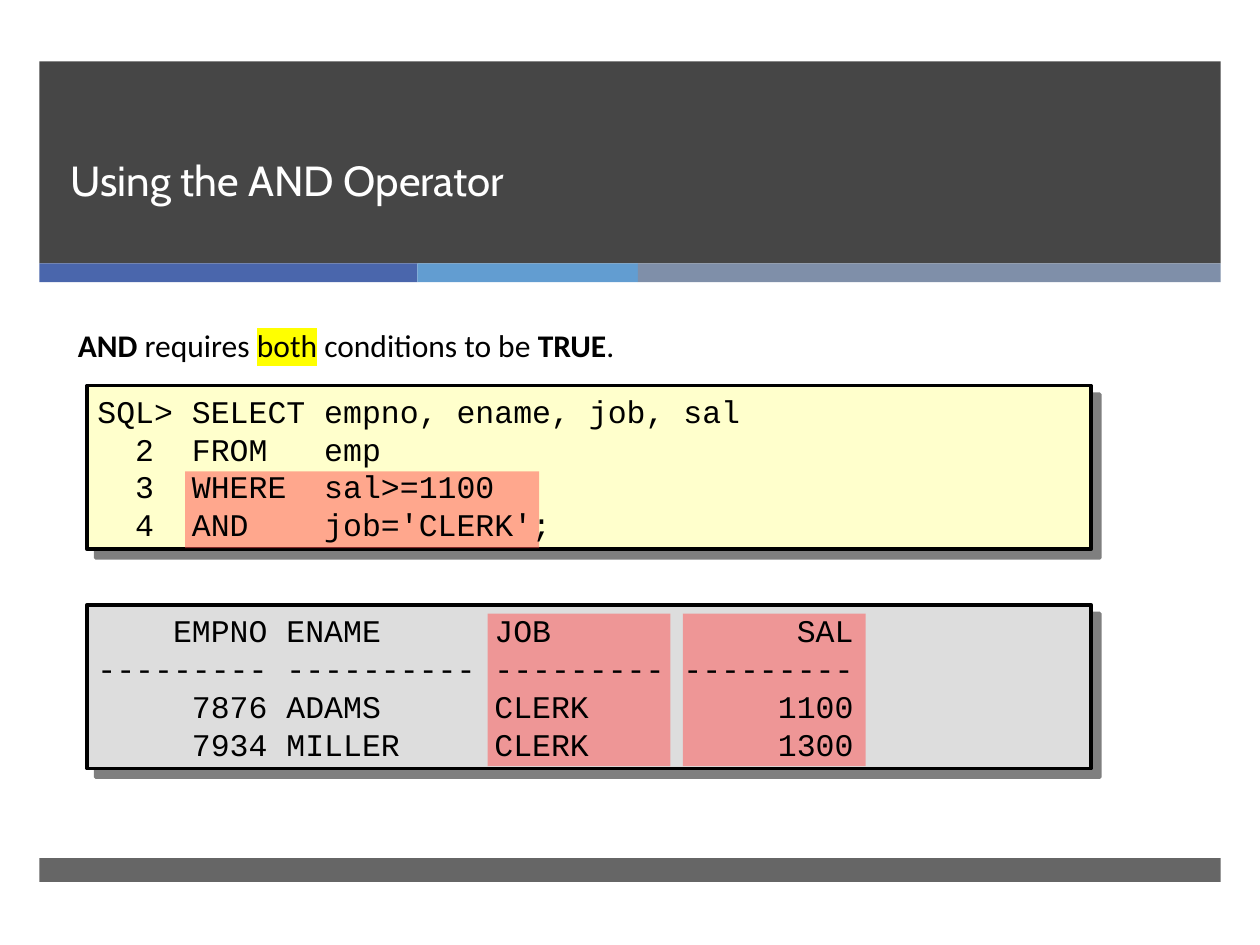
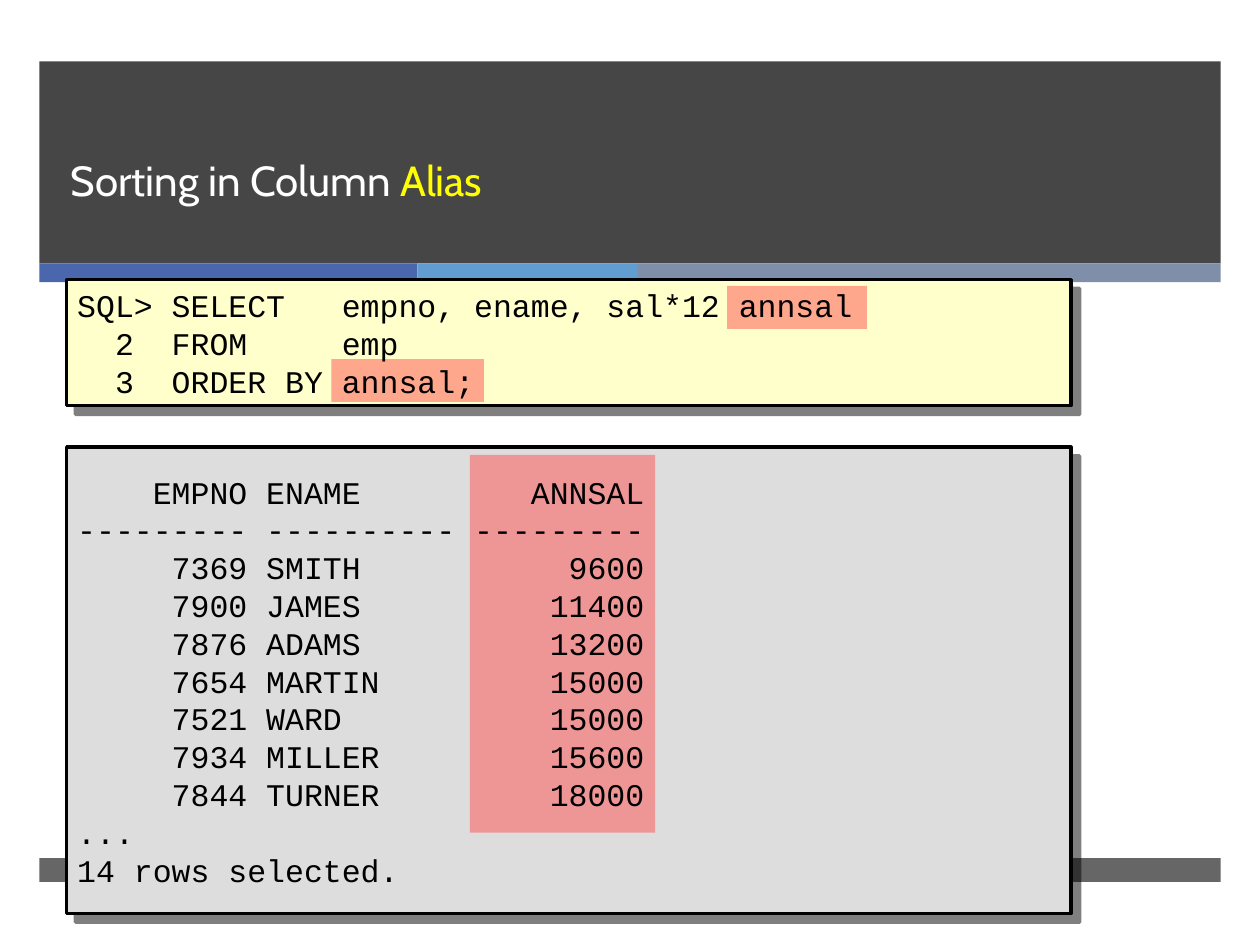
"""Build two slides on SQL conditions and sorting."""
from dataclasses import dataclass
from typing import NamedTuple, Optional

from lxml import etree
from pptx import Presentation
from pptx.dml.color import RGBColor
from pptx.enum.shapes import MSO_SHAPE
from pptx.enum.text import MSO_ANCHOR, MSO_AUTO_SIZE, PP_ALIGN
from pptx.oxml.ns import qn
from pptx.shapes.autoshape import Shape
from pptx.slide import Slide, SlideLayout
from pptx.text.text import TextFrame, _Paragraph
from pptx.util import Pt

RECTANGLE = MSO_SHAPE.RECTANGLE
MIDDLE, BOTTOM = MSO_ANCHOR.MIDDLE, MSO_ANCHOR.BOTTOM
NO_AUTOFIT = MSO_AUTO_SIZE.NONE
LEFT = PP_ALIGN.LEFT

BLACK = RGBColor(0x00, 0x00, 0x00)
WHITE = RGBColor(0xFF, 0xFF, 0xFF)
YELLOW = RGBColor(0xFF, 0xFF, 0x00)
CHARCOAL = RGBColor(0x26, 0x26, 0x26)
ROYAL_BLUE = RGBColor(0x4A, 0x66, 0xAC)
SKY_BLUE = RGBColor(0x62, 0x9D, 0xD1)
SLATE_BLUE = RGBColor(0x7F, 0x8F, 0xA9)
QUERY_CREAM = RGBColor(0xFF, 0xFF, 0xCC)
RESULT_GREY = RGBColor(0xDD, 0xDD, 0xDD)
MARK_RED = RGBColor(0xFF, 0x50, 0x50)

TITLE_FONT, BODY_FONT, CODE_FONT = "Cabin", "Calibri", "Courier New"
TITLE_ONLY = 5
LISTING_WIDTH = 573.84
LAYOUT_ID_BASE = 100


class Box(NamedTuple):
    """A rectangle in points."""
    left: float
    top: float
    width: float
    height: float

    def lengths(self) -> list[Pt]:
        """Return the four measures as lengths."""
        return [Pt(value) for value in self]


class Span(NamedTuple):
    """A stretch of text with its own emphasis."""
    text: str
    bold: Optional[bool] = None
    color: Optional[RGBColor] = None
    marker: Optional[RGBColor] = None


class Band(NamedTuple):
    """A coloured bar of the shared frame."""
    box: Box
    color: RGBColor
    opacity: int = 100


@dataclass
class Listing:
    """A framed block of code or query output."""
    box: Box
    fill: RGBColor
    text: str
    marks: list[Box]


@dataclass
class Lesson:
    """The content of one slide."""
    title: list[Span]
    listings: list[Listing]
    lead: Optional[list[Span]] = None


FRAME_LEFT, FRAME_WIDTH = 22.5, 675
STRIPE_TOP, STRIPE_HEIGHT = 150.5, 10.8
TITLE_BOX = Box(33.12, 35.28, 614.88, 85.68)
LEAD_BOX = Box(37.44, 184.32, 323.28, 28.08)

BANDS = [
    Band(Box(FRAME_LEFT, 35, FRAME_WIDTH, 115.5), CHARCOAL, 85),
    Band(Box(FRAME_LEFT, STRIPE_TOP, 216, STRIPE_HEIGHT), ROYAL_BLUE),
    Band(Box(FRAME_LEFT + 216, STRIPE_TOP, 126, STRIPE_HEIGHT), SKY_BLUE),
    Band(Box(FRAME_LEFT + 342, STRIPE_TOP, 333, STRIPE_HEIGHT), SLATE_BLUE),
    Band(Box(FRAME_LEFT, 490.32, FRAME_WIDTH, 13.68), CHARCOAL, 70),
]

AND_QUERY = """\
SQL> SELECT empno, ename, job, sal
  2  FROM   emp
  3  WHERE  sal>=1100
  4  AND    job='CLERK';"""

AND_RESULT = """\
    EMPNO ENAME      JOB             SAL
--------- ---------- --------- ---------
     7876 ADAMS      CLERK          1100
     7934 MILLER     CLERK          1300"""

ALIAS_QUERY = """\
SQL> SELECT   empno, ename, sal*12 annsal
  2  FROM     emp
  3  ORDER BY annsal;"""

ALIAS_RESULT = """\
    EMPNO ENAME         ANNSAL
--------- ---------- ---------
     7369 SMITH           9600
     7900 JAMES          11400
     7876 ADAMS          13200
     7654 MARTIN         15000
     7521 WARD           15000
     7934 MILLER         15600
     7844 TURNER         18000
...
14 rows selected."""

LESSONS = [
    Lesson(
        title=[Span("Using the AND Operator")],
        lead=[Span("AND", bold=True), Span(" requires "), Span("both", marker=YELLOW),
              Span(" conditions to be "), Span("TRUE", bold=True), Span(".")],
        listings=[
            Listing(Box(49.68, 220.32, LISTING_WIDTH, 93.6), QUERY_CREAM, AND_QUERY,
                    [Box(105.84, 269.28, 202.32, 43.92)]),
            Listing(Box(49.68, 345.6, LISTING_WIDTH, 93.6), RESULT_GREY, AND_RESULT,
                    [Box(left, 350.64, 104.4, 87.12) for left in (278.64, 390.24)]),
        ],
    ),
    Lesson(
        title=[Span("Sorting in Column "), Span("Alias", color=YELLOW)],
        listings=[
            Listing(Box(38.16, 159.84, LISTING_WIDTH, 72), QUERY_CREAM, ALIAS_QUERY,
                    [Box(415.44, 163.44, 79.92, 24.48), Box(189.36, 205.2, 87.12, 24.48)]),
            Listing(Box(38.16, 255.6, LISTING_WIDTH, 266.4), RESULT_GREY, ALIAS_RESULT,
                    [Box(268.56, 259.92, 105.84, 216)]),
        ],
    ),
]


def add_color(parent: etree._Element, color: RGBColor, opacity: int = 100) -> None:
    """Append a colour element, see-through below full opacity."""
    value = etree.SubElement(parent, qn("a:srgbClr"), val=str(color))
    if opacity < 100:
        etree.SubElement(value, qn("a:alpha"), val=str(opacity * 1000))


def add_rectangle(slide: Slide, box: Box, color: RGBColor, opacity: int = 100) -> Shape:
    """Draw a borderless filled rectangle."""
    rectangle = slide.shapes.add_shape(RECTANGLE, *box.lengths())
    rectangle.shadow.inherit = False
    rectangle.line.fill.background()
    rectangle.fill.solid()
    rectangle.fill.fore_color.rgb = color
    if opacity < 100:
        solid = rectangle._element.spPr.find(qn("a:solidFill"))
        solid.clear()
        add_color(solid, color, opacity)
    return rectangle


def set_font(paragraph: _Paragraph, name: str, size: float, color: RGBColor) -> None:
    """Set the font shared by all runs of a paragraph."""
    paragraph.font.name = name
    paragraph.font.size = Pt(size)
    paragraph.font.color.rgb = color


def add_spans(paragraph: _Paragraph, spans: list[Span]) -> None:
    """Write spans as runs with their emphasis."""
    for span in spans:
        run = paragraph.add_run()
        run.text = span.text
        if span.bold:
            run.font.bold = True
        if span.color is not None:
            run.font.color.rgb = span.color
        if span.marker is not None:
            marker = etree.SubElement(run.font._element, qn("a:highlight"))
            add_color(marker, span.marker)


def add_text_frame(slide: Slide, box: Box) -> TextFrame:
    """Add a wrapping text box of fixed size."""
    frame = slide.shapes.add_textbox(*box.lengths()).text_frame
    frame.word_wrap = True
    frame.auto_size = NO_AUTOFIT
    return frame


def add_listing(slide: Slide, listing: Listing) -> None:
    """Draw a shadowed panel, its marked areas and its text."""
    panel = add_rectangle(slide, listing.box, listing.fill)
    panel.line.color.rgb = BLACK
    panel.line.width = Pt(2)
    effects = panel._element.spPr.find(qn("a:effectLst"))
    shadow = etree.SubElement(effects, qn("a:outerShdw"), blurRad="0", dist=str(Pt(7.1)),
                              dir="2700000", algn="ctr", rotWithShape="0")
    add_color(shadow, BLACK, 50)
    for mark in listing.marks:
        add_rectangle(slide, mark, MARK_RED, 50)
    left, top, width, height = listing.box
    frame = add_text_frame(slide, Box(left - 1.1, top - 1, width + 2.2, height + 2))
    frame.vertical_anchor = MIDDLE
    frame.text = listing.text
    for line in frame.paragraphs:
        set_font(line, CODE_FONT, 18, BLACK)


def add_title(slide: Slide, spans: list[Span]) -> None:
    """Fill the title placeholder."""
    frame = slide.shapes.title.text_frame
    frame.auto_size = NO_AUTOFIT
    frame.vertical_anchor = BOTTOM
    heading = frame.paragraphs[0]
    heading.alignment = LEFT
    heading.line_spacing = Pt(46)
    set_font(heading, TITLE_FONT, 24, WHITE)
    add_spans(heading, spans)


def add_lead(slide: Slide, spans: list[Span]) -> None:
    """Write the sentence above the listings."""
    sentence = add_text_frame(slide, LEAD_BOX).paragraphs[0]
    sentence.line_spacing = 0.95
    set_font(sentence, BODY_FONT, 18, BLACK)
    add_spans(sentence, spans)


def set_up_layout(layout: SlideLayout, slide: Slide) -> None:
    """Place the title and move the shared bands behind it on the layout."""
    title = layout.placeholders[0]
    title.left, title.top, title.width, title.height = TITLE_BOX.lengths()
    for order, band in enumerate(BANDS):
        element = add_rectangle(slide, *band)._element
        element.nvSpPr.cNvPr.set("id", str(LAYOUT_ID_BASE + order))
        layout.shapes._spTree.insert(2 + order, element)


def main() -> None:
    """Build and save the presentation."""
    deck = Presentation()
    deck.slide_width, deck.slide_height = Pt(720), Pt(540)
    layout = deck.slide_layouts[TITLE_ONLY]
    slides = [deck.slides.add_slide(layout) for _ in LESSONS]
    set_up_layout(layout, slides[0])
    for slide, lesson in zip(slides, LESSONS):
        add_title(slide, lesson.title)
        if lesson.lead:
            add_lead(slide, lesson.lead)
        for listing in lesson.listings:
            add_listing(slide, listing)
    deck.save("out.pptx")


if __name__ == "__main__":
    main()
